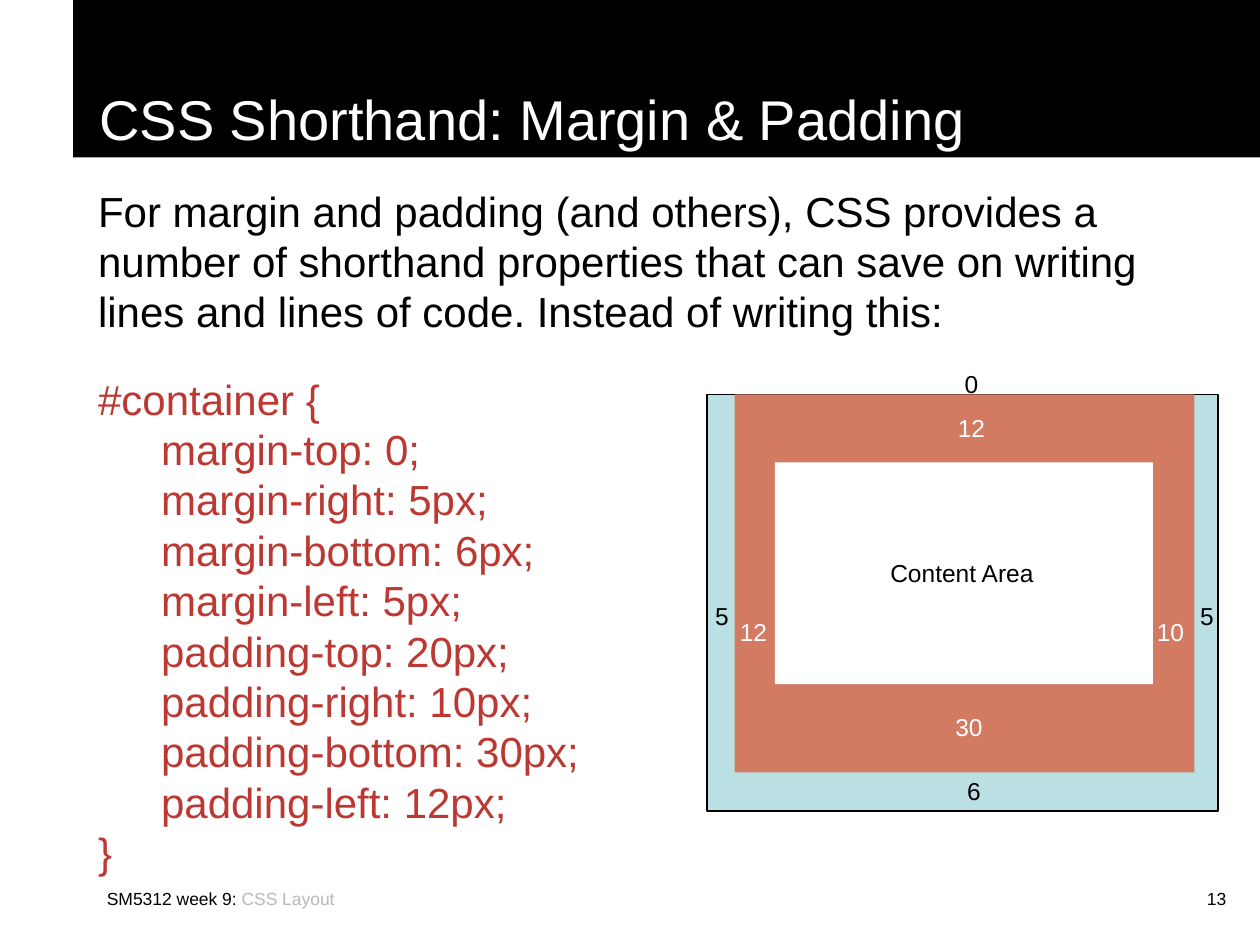
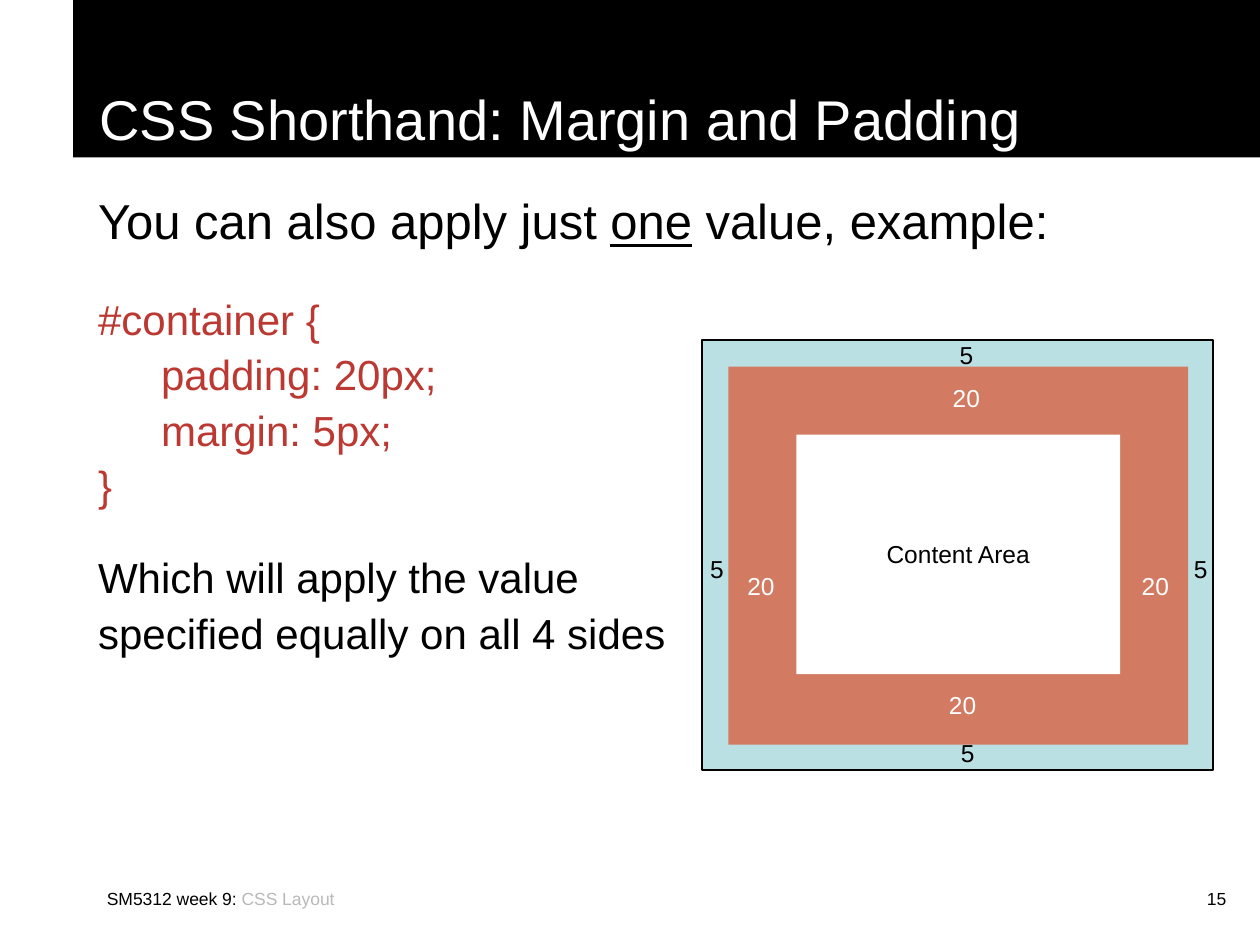
"""Build two slides on the CSS margin and padding shorthand."""
from dataclasses import dataclass

from lxml.etree import SubElement
from pptx import Presentation
from pptx.dml.color import RGBColor as RGB
from pptx.enum.shapes import MSO_SHAPE as SHAPE
from pptx.enum.text import MSO_ANCHOR as ANCHOR, PP_ALIGN as ALIGN
from pptx.oxml.ns import qn
from pptx.util import Inches, Pt


@dataclass(frozen=True)
class Theme:
    font: str = "Arial"
    black: RGB = RGB(0x00, 0x00, 0x00)
    white: RGB = RGB(0xFF, 0xFF, 0xFF)
    grey: RGB = RGB(0xB9, 0xB9, 0xB9)
    code: RGB = RGB(0xBB, 0x39, 0x32)
    margin: RGB = RGB(0xBB, 0xE0, 0xE3)
    padding: RGB = RGB(0xD2, 0x7B, 0x62)
    title_size: int = 32
    lead_size: int = 28
    body_size: int = 24
    label_size: int = 14
    footer_size: int = 10


theme = Theme()


def add_box(slide, bounds, fill=None):
    place = [Inches(length) for length in bounds]
    if fill is None:
        box = slide.shapes.add_textbox(*place)
    else:
        box = slide.shapes.add_shape(SHAPE.RECTANGLE, *place)
        box.shadow.inherit = False
        box.fill.solid()
        box.fill.fore_color.rgb = fill
        box.line.fill.background()
    box.text_frame.word_wrap = True
    return box


def write(paragraph, runs, size, color, align=ALIGN.LEFT, indent=0):
    if len(runs) == 1:
        paragraph.text = runs[0]
    else:
        for words in runs:
            paragraph.add_run().text = words
    properties = paragraph._p.get_or_add_pPr()
    if indent:
        properties.set("marL", str(Inches(indent)))
        properties.set("indent", "0")
        tabs = SubElement(properties, qn("a:tabLst"))
        SubElement(tabs, qn("a:tab"), pos=str(Inches(1)), algn="l")
    paragraph.alignment = align
    paragraph.font.name = theme.font
    paragraph.font.size = Pt(size)
    paragraph.font.color.rgb = color


long_code = """#container {
\tmargin-top: 0;
\tmargin-right: 5px;
\tmargin-bottom: 6px;
\tmargin-left: 5px;
\tpadding-top: 20px;
\tpadding-right: 10px;
\tpadding-bottom: 30px;
\tpadding-left: 12px;
}"""
short_code = """#container {
\tpadding: 20px;
\tmargin: 5px;
}"""

lessons = [
    {
        "number": "13",
        "title": "CSS Shorthand: Margin & Padding",
        "body_height": 5.65,
        "line_spacing": None,
        "body": [
            (["For margin and padding (and others), CSS provides a number of "
              "shorthand properties that can save on writing lines and lines "
              "of code. Instead of writing this:"], theme.body_size, theme.black),
            ([long_code], theme.body_size, theme.code),
        ],
        "margin_area": (5.61, 3.13, 4.06, 3.31),
        "padding_area": (5.83, 3.13, 3.65, 3),
        "content_area": (6.15, 3.67, 3, 1.76),
        "content_label": (6.46, 4.38),
        "margin_labels": [("6", 7.26, 6.11), ("5", 5.26, 4.72),
                          ("5", 9.11, 4.72), ("0", 7.24, 2.88)],
        "padding_labels": [("12", 5.51, 4.85), ("10", 8.82, 4.85),
                           ("30", 7.22, 5.6), ("12", 7.24, 3.23)],
    },
    {
        "number": "15",
        "title": "CSS Shorthand: Margin and Padding",
        "body_height": 3.9,
        "line_spacing": 1.1,
        "body": [
            (["You can also apply just ", "one", " value, example:"],
             theme.lead_size, theme.black),
            ([short_code], theme.body_size, theme.code),
            (["Which will apply the value \nspecified equally on all 4 sides"],
             theme.body_size, theme.black),
        ],
        "margin_area": (5.57, 2.7, 4.06, 3.41),
        "padding_area": (5.78, 2.91, 3.65, 3),
        "content_area": (6.32, 3.45, 2.57, 1.9),
        "content_label": (6.43, 4.23),
        "margin_labels": [("5", 7.21, 5.81), ("5", 5.22, 4.35),
                          ("5", 9.06, 4.35), ("5", 7.2, 2.65)],
        "padding_labels": [("20", 5.57, 4.48), ("20", 8.7, 4.48),
                           ("20", 7.17, 5.43), ("20", 7.2, 2.99)],
    },
]

deck = Presentation()
deck.slide_width = Inches(10)
deck.slide_height = Inches(7.5)

for lesson in lessons:
    slide = deck.slides.add_slide(deck.slide_layouts[6])

    course = add_box(slide, (0.75, 7, 3.17, 0.5)).text_frame.paragraphs[0]
    write(course, ["SM5312 week 9: ", "CSS Layout"], theme.footer_size, theme.black)
    course.runs[1].font.color.rgb = theme.grey
    page = add_box(slide, (7.75, 7, 2.08, 0.5)).text_frame.paragraphs[0]
    write(page, [lesson["number"]], theme.footer_size, theme.black, ALIGN.RIGHT)

    band = add_box(slide, (0.58, 0, 9.42, 1.25), theme.black).text_frame
    band.vertical_anchor = ANCHOR.BOTTOM
    write(band.paragraphs[0], [lesson["title"]], theme.title_size, theme.white,
          indent=0.11)

    body = add_box(slide, (0.58, 1.42, 9.08, lesson["body_height"])).text_frame
    for index, (runs, size, color) in enumerate(lesson["body"]):
        paragraph = body.add_paragraph() if index else body.paragraphs[0]
        write(paragraph, runs, size, color, indent=0.1)
        paragraph.line_spacing = lesson["line_spacing"]
        paragraph.space_after = Pt(size / 4)
        if index:
            paragraph.space_before = Pt(15)
        for run in paragraph.runs:
            if run.text == "one":
                run.font.underline = True

    margin_area = add_box(slide, lesson["margin_area"], theme.margin)
    margin_area.line.color.rgb = theme.black
    margin_area.line.width = Pt(1)
    add_box(slide, lesson["padding_area"], theme.padding)
    add_box(slide, lesson["content_area"], theme.white)

    labels = [("Content Area", *lesson["content_label"], 2.35, theme.black)]
    labels += [(*label, 0.94, theme.black) for label in lesson["margin_labels"]]
    labels += [(*label, 0.94, theme.white) for label in lesson["padding_labels"]]
    for words, left, top, width, color in labels:
        label = add_box(slide, (left, top, width, 0.34)).text_frame
        write(label.paragraphs[0], [words], theme.label_size, color, ALIGN.CENTER)

deck.save("out.pptx")
